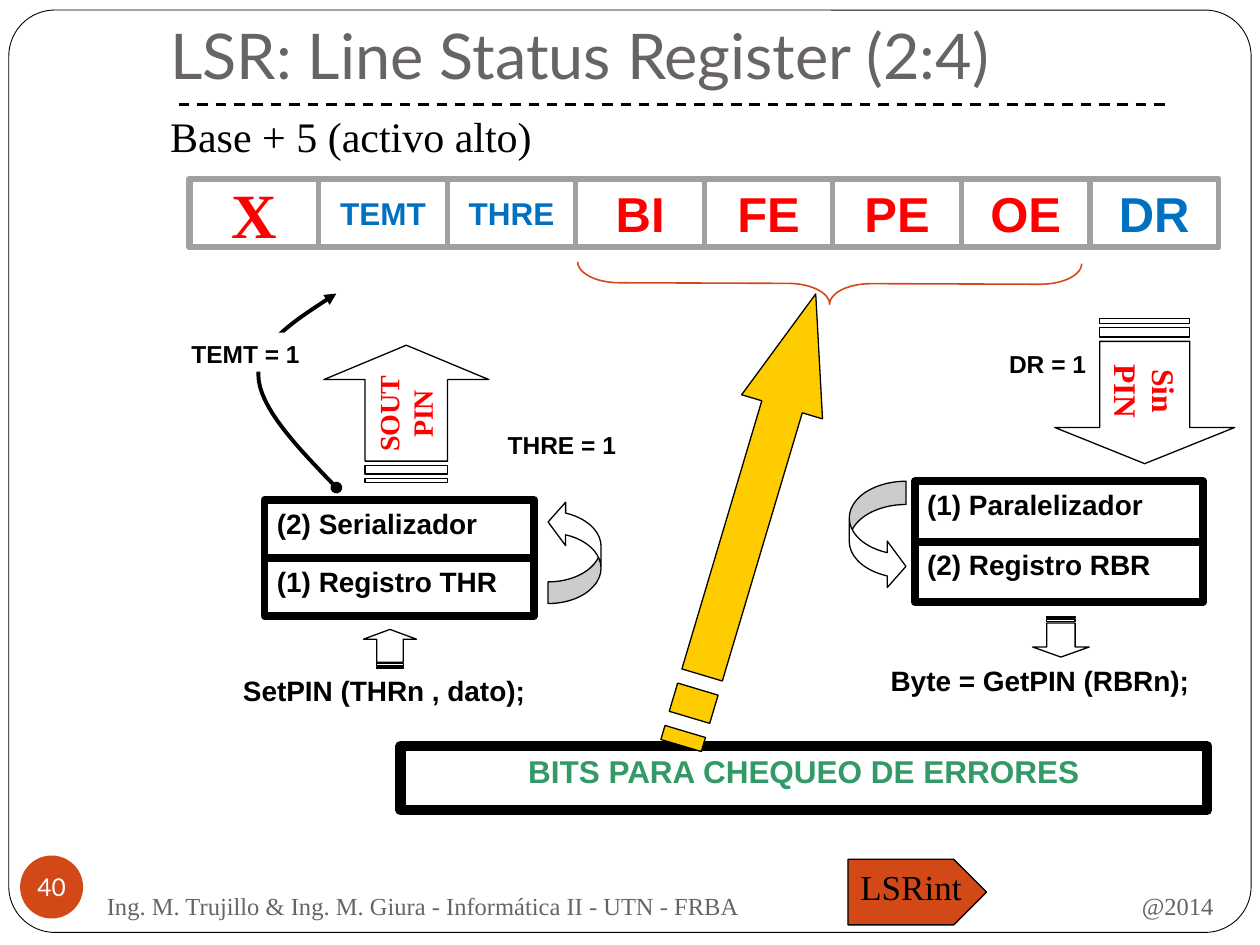
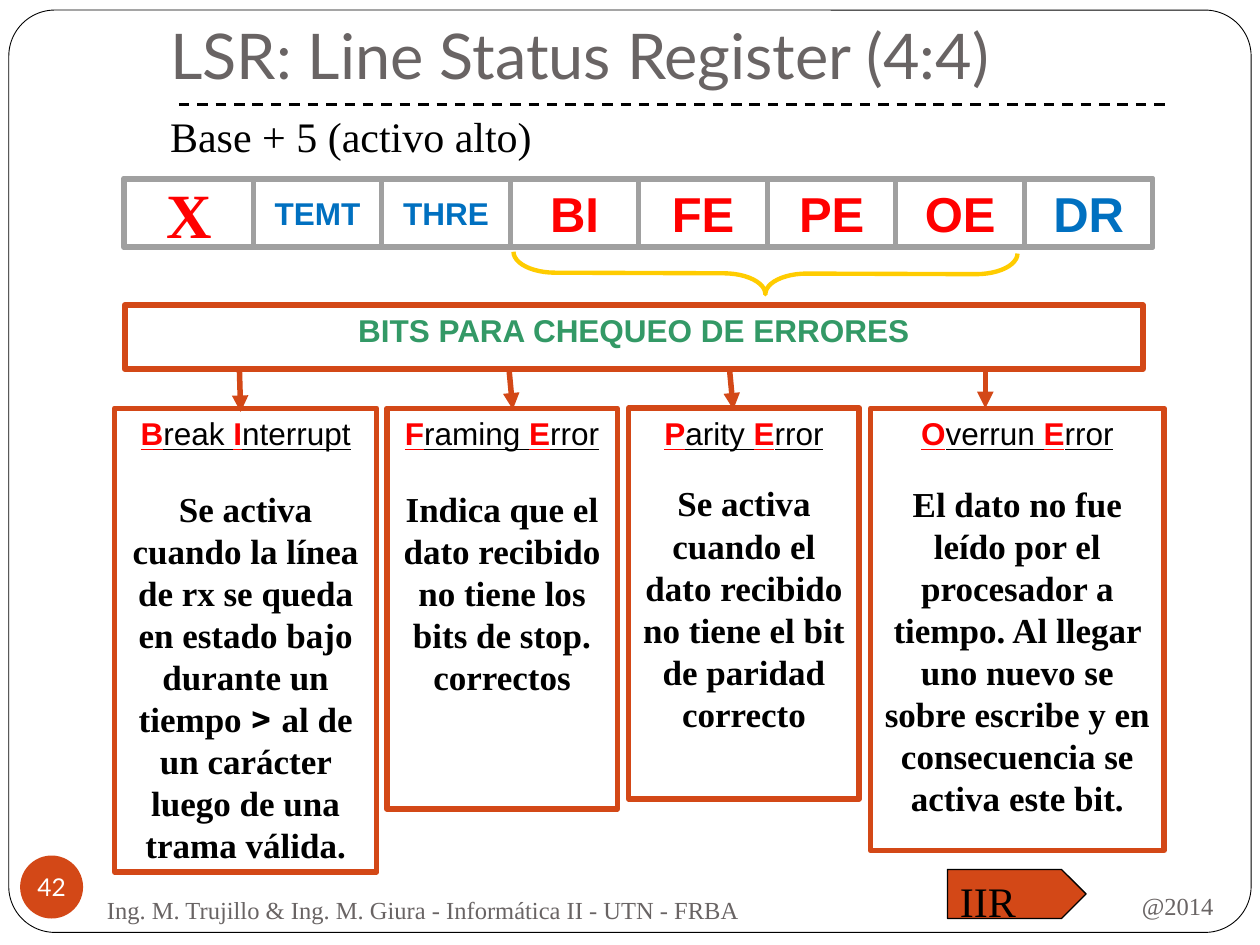
from lxml import etree
from pptx import Presentation
from pptx import util as u
from pptx.dml.color import RGBColor
from pptx.enum import dml, shapes, text
from pptx.oxml.ns import qn

# ---- Content ----
HUE = {"ink": "000000", "paper": "FFFFFF", "grey": "696464", "rust": "D34817",
       "red": "FF0000", "blue": "0070C0", "green": "339966", "gold": "FFCC00",
       "edge": "A0A0A0"}
SANS, SERIF, HEAD, MONT = "Arial", "Times New Roman", "Lato", "Montserrat"
WIDE, HIGH = 10, 7.5

TITLE = "LSR: Line Status Register ({}:4)"
BASE = "Base + 5 (activo alto)"
FOOT = "Ing. M. Trujillo & Ing. M. Giura - Informática II - UTN - FRBA"
YEAR = "@2014"
CHECK = "BITS PARA CHEQUEO DE ERRORES"

# Register bits: name, size, font, colour
BITS = [("X", 36, SERIF, "red"), ("TEMT", 18, SANS, "blue"),
        ("THRE", 18, SANS, "blue"), ("BI", 28, SANS, "red"),
        ("FE", 28, SANS, "red"), ("PE", 28, SANS, "red"),
        ("OE", 28, SANS, "red"), ("DR", 28, SANS, "blue")]
CELL, ROW = 1.02, (1.42, 0.54)

# Two-row stacks: left, top, width, row height, rows
STACKS = [(7.26, 3.82, 2.29, 0.48, ["(1) Paralelizador", "(2) Registro RBR"]),
          (2.1, 3.97, 2.14, 0.46, ["(2) Serializador", "(1) Registro THR"])]
CALLS = [("Byte = GetPIN (RBRn);", (6.97, 5.22, 2.91, 0.54)),
         ("SetPIN (THRn , dato);", (1.83, 5.3, 2.62, 0.51))]
FLAGS = [("DR = 1", (7.91, 2.72, 1.12, 0.32)),
         ("TEMT = 1", (1.42, 2.64, 1.15, 0.31)),
         ("THRE = 1", (3.93, 3.36, 1.15, 0.31))]
# Striped arrows: box before turning, turn, fill, lines of text, size
ARROWS = [((8.26, 4.83, 0.32, 0.45), 90, "paper", [], 0),
          ((8.51, 2.39, 1.15, 1.43), 90, "paper", ["Sin", "PIN"], 18),
          ((2.94, 4.94, 0.31, 0.42), 270, "paper", [], 0),
          ((2.68, 2.63, 1.09, 1.31), 270, "paper", ["SOUT PIN"], 16)]
YELLOW = ((4.07, 3.79, 3.74, 0.67), 286.6, "gold", [], 0)
LOOPS = [((6.74, 3.82, 0.45, 0.86), 0), ((4.35, 3.97, 0.42, 0.82), 180)]
# Path from the transmitter to TEMT, as two Bezier pieces
CURVE = [[(2.67, 2.33), (2.36, 2.53), (2.05, 2.72), (2.05, 2.97)],
         [(2.05, 2.97), (2.05, 3.23), (2.36, 3.55), (2.67, 3.87)]]

# Error cards: left, width, height, gap, name (capitals at even places), text
CARD_TOP = 3.24
CARDS = [
    (0.91, 2.08, 3.68, 20, ["B", "reak ", "I", "nterrupt"],
     [("Se activa cuando la línea de rx se queda en estado bajo durante un tiempo ",
       SERIF), ("> ", MONT),
      ("al de un carácter luego de una trama válida.", SERIF)]),
    (3.07, 1.83, 3.18, 20, ["F", "raming ", "E", "rror"],
     [("Indica que el dato recibido no tiene los bits de stop. correctos", SERIF)]),
    (4.99, 1.83, 3.1, 17, ["P", "arity ", "E", "rror"],
     [("Se activa cuando el dato recibido no tiene el bit de paridad correcto",
       SERIF)]),
    (6.91, 2.33, 3.51, 17, ["O", "verrun ", "E", "rror"],
     [("El dato no fue leído por el procesador a tiempo. Al llegar uno nuevo se "
       "sobre escribe y en consecuencia se activa este bit.", SERIF)]),
]
BAR = (0.99, 2.42, 8.08, 0.51)
DROPS = [(1.9, 1.91, 3.27), (4.04, 4.07, 3.25), (5.79, 5.82, 3.25),
         (7.82, 7.82, 3.24)]

# ---- Helpers ----
KIND, ALIGN, ANCHOR = shapes.MSO_SHAPE, text.PP_ALIGN, text.MSO_ANCHOR
LEFT, MID, RIGHT = ALIGN.LEFT, ALIGN.CENTER, ALIGN.RIGHT
TOP, CORE, LOW = ANCHOR.TOP, ANCHOR.MIDDLE, ANCHOR.BOTTOM


def rgb(hue):
    return RGBColor.from_string(HUE[hue])


def inch(vals):
    return [u.Inches(v) for v in vals]


def paint(shp, fill=None, edge=None, wide=0.75):
    shp.shadow.inherit = False
    if fill:
        shp.fill.solid()
        shp.fill.fore_color.rgb = rgb(fill)
    else:
        shp.fill.background()
    if edge:
        shp.line.color.rgb = rgb(edge)
        shp.line.width = u.Pt(wide)
    else:
        shp.line.fill.background()
    return shp


def run(para, words, size, font, hue="ink", bold=False, under=False):
    r = para.add_run()
    r.text = words
    f = r.font
    f.size, f.name, f.bold, f.underline = u.Pt(size), font, bold, under
    f.color.rgb = rgb(hue)


def setup(shp, anchor=TOP, wrap=True):
    frame = shp.text_frame
    frame.word_wrap, frame.vertical_anchor = wrap, anchor
    frame.auto_size = text.MSO_AUTO_SIZE.NONE
    return frame


def write(shp, words, size, font, hue="ink", bold=False, align=LEFT,
          anchor=TOP, wrap=True):
    para = setup(shp, anchor, wrap).paragraphs[0]
    para.alignment = align
    run(para, words, size, font, hue, bold)
    return para


def block(sld, kind, box, fill=None, edge=None, wide=0.75, turn=0, adj=()):
    shp = paint(sld.shapes.add_shape(kind, *inch(box)), fill, edge, wide)
    shp.rotation = turn
    for i, val in enumerate(adj):
        shp.adjustments[i] = val
    return shp


def label(sld, box, *args, **opts):
    return write(sld.shapes.add_textbox(*inch(box)), *args, **opts)


def tips(shp, **ends):
    ln = shp.line._get_or_add_ln()
    for tag in ("headEnd", "tailEnd"):
        if tag in ends:
            etree.SubElement(ln, qn("a:" + tag), type=ends[tag])


def line(sld, start, end, hue, wide):
    con = sld.shapes.add_connector(shapes.MSO_CONNECTOR.STRAIGHT,
                                   *inch(start + end))
    con.line.color.rgb = rgb(hue)
    con.line.width = u.Pt(wide)
    etree.SubElement(con._element.spPr, qn("a:effectLst"))
    return con


def striped(sld, box, turn, fill, lines, size):
    """Right arrow cut by two stripes: parts are 32nds of its length."""
    x, y, w, h = box

    def at(col, row):
        return inch((x + w * col / 32, y + h * row / 4))

    def bar(a, b):
        return [at(a, 1), at(b, 1), at(b, 3), at(a, 3)]

    head = [at(5, 1), at(24, 1), at(24, 0), at(32, 2), at(24, 4), at(24, 3),
            at(5, 3)]
    parts = [head, bar(2, 4), bar(0, 1)]
    pen = sld.shapes.build_freeform(*head[0], scale=1.0)
    for i, pts in enumerate(parts):
        if i:
            pen.move_to(*pts[0])
        pen.add_line_segments(pts[1:], close=True)
    shp = paint(pen.convert_to_shape(), fill, "ink")
    shp.rotation = turn
    if lines:
        frame = setup(shp)
        frame.margin_top = u.Inches(h / 4 + 0.05)
        for i, words in enumerate(lines):
            para = frame.add_paragraph() if i else frame.paragraphs[0]
            para.alignment = MID
            run(para, words, size, SERIF, "red", True)


def curve(sld, pieces, steps=16):
    pts = [pieces[0][0]]
    for a, b, c, d in pieces:
        for i in range(1, steps + 1):
            t = i / steps
            s = 1 - t
            pts.append(tuple(s**3 * a[k] + 3 * s * s * t * b[k]
                             + 3 * s * t * t * c[k] + t**3 * d[k]
                             for k in (0, 1)))
    pts = [inch(p) for p in pts]
    pen = sld.shapes.build_freeform(*pts[0], scale=1.0)
    pen.add_line_segments(pts[1:], close=False)
    shp = paint(pen.convert_to_shape(), None, "ink", 2.25)
    tips(shp, headEnd="triangle", tailEnd="oval")


def place(shp, box):
    shp.left, shp.top, shp.width, shp.height = inch(box)


# ---- Shared parts ----
def page(deck, part, num, foot_box):
    sld = deck.slides.add_slide(deck.slide_layouts[1])
    block(sld, KIND.ROUNDED_RECTANGLE, (0.07, 0.08, WIDE - 0.14, 7.32),
          None, "ink", 0.5, adj=[0.05])
    head, body = sld.placeholders
    place(head, (1.25, 0.08, 8.5, 0.75))
    write(head, TITLE.format(part), 36, HEAD, "grey", anchor=LOW)
    head.text_frame.margin_bottom = u.Inches(0.1)
    place(body, (1.25, 0.83, 7.83, 0.5))
    para = write(body, BASE, 24, SERIF)
    para.space_before = u.Pt(0)
    props = para._p.get_or_add_pPr()
    props.set("marL", "0")
    props.set("indent", "0")
    etree.SubElement(props, qn("a:buNone"))
    rule = line(sld, (1.42, 0.83), (9.25, 0.83), "ink", 1.5)
    rule.line.dash_style = dml.MSO_LINE.DASH
    label(sld, (7.02, 6.93, 2.71, 0.52), YEAR, 14, SERIF, "grey",
          align=RIGHT, anchor=CORE)
    label(sld, foot_box, FOOT, 14, SERIF, "grey", anchor=CORE)
    disc = block(sld, KIND.OVAL, (0.16, 6.79, 0.5, 0.5), "rust")
    write(disc, num, 14, HEAD, "paper", align=MID, anchor=CORE, wrap=False)
    frame = disc.text_frame
    frame.margin_left = frame.margin_right = 0
    frame.margin_top = frame.margin_bottom = 0
    return sld


def register(sld, left):
    for i, (name, size, font, hue) in enumerate(BITS):
        cell = block(sld, KIND.RECTANGLE, (left + i * CELL, ROW[0], CELL, ROW[1]),
                     None, "edge", 3)
        write(cell, name, size, font, hue, True, MID, CORE)
    block(sld, KIND.RECTANGLE, (left - 0.01, ROW[0], 8 * CELL + 0.01, ROW[1]),
          None, "edge", 3)


def brace(sld, left, top, hue, wide):
    block(sld, KIND.LEFT_BRACE, (left, top, 0.33, 4), None, hue, wide, 270.2,
          [1, 0.5])


def banner(sld, box, hue, wide):
    bar = block(sld, KIND.RECTANGLE, box, "paper", hue, wide)
    write(bar, CHECK, 18, SANS, "green", True, MID)


def jump(sld, box, words, size):
    tag = block(sld, KIND.PENTAGON, box, "rust", "ink", adj=[0.5])
    write(tag, words, size, SERIF, wrap=False)


# ---- Slides ----
def signals(deck):
    sld = page(deck, 2, "40", (0.75, 6.99, 5.26, 0.39))
    curve(sld, CURVE)
    for words, box in FLAGS:
        write(block(sld, KIND.RECTANGLE, box, "paper"), words, 14, SANS, bold=True)
    for words, box in CALLS:
        label(sld, box, words, 16, SANS, bold=True)
    for x, y, w, h, rows in STACKS:
        for i, words in enumerate(rows):
            cell = block(sld, KIND.RECTANGLE, (x, y + i * h, w, h),
                         "paper", "ink", 4.5)
            write(cell, words, 16, SANS, bold=True)
    for box, turn in LOOPS:
        block(sld, KIND.CURVED_RIGHT_ARROW, box, "paper", "ink", turn=turn,
              adj=[0.41, 0.82, 0.33])
    for arrow in ARROWS:
        striped(sld, *arrow)
    banner(sld, (3.18, 5.92, 6.4, 0.51), "ink", 6)
    brace(sld, 6.42, 0.25, "rust", 0.9)
    striped(sld, *YELLOW)
    jump(sld, (6.73, 6.82, 1.1, 0.52), "LSRint", 20)
    register(sld, 1.51)


def errors(deck):
    sld = page(deck, 4, "42", (0.75, 6.99, 5.81, 0.46))
    for left, wide, high, gap, name, about in CARDS:
        card = block(sld, KIND.RECTANGLE, (left, CARD_TOP, wide, high),
                     "paper", "rust", 3.15)
        frame = setup(card)
        top, low = frame.paragraphs[0], frame.add_paragraph()
        top.alignment = low.alignment = MID
        for i, words in enumerate(name):
            cap = i % 2 == 0
            run(top, words, 18, SANS, "red" if cap else "ink", cap, True)
        low.space_before, low.line_spacing = u.Pt(gap), u.Pt(24)
        for words, font in about:
            run(low, words, 20, font, bold=True)
    banner(sld, BAR, "rust", 3.15)
    for start, end, stop in DROPS:
        drop = line(sld, (start, BAR[1] + BAR[3]), (end, stop), "rust", 3.15)
        tips(drop, tailEnd="triangle")
    brace(sld, 5.91, 0.17, "gold", 2.5)
    jump(sld, (7.52, 6.9, 1.1, 0.39), "IIR", 24)
    register(sld, 0.99)


def main():
    deck = Presentation()
    deck.slide_width, deck.slide_height = inch((WIDE, HIGH))
    signals(deck)
    errors(deck)
    deck.save("out.pptx")


if __name__ == "__main__":
    main()
